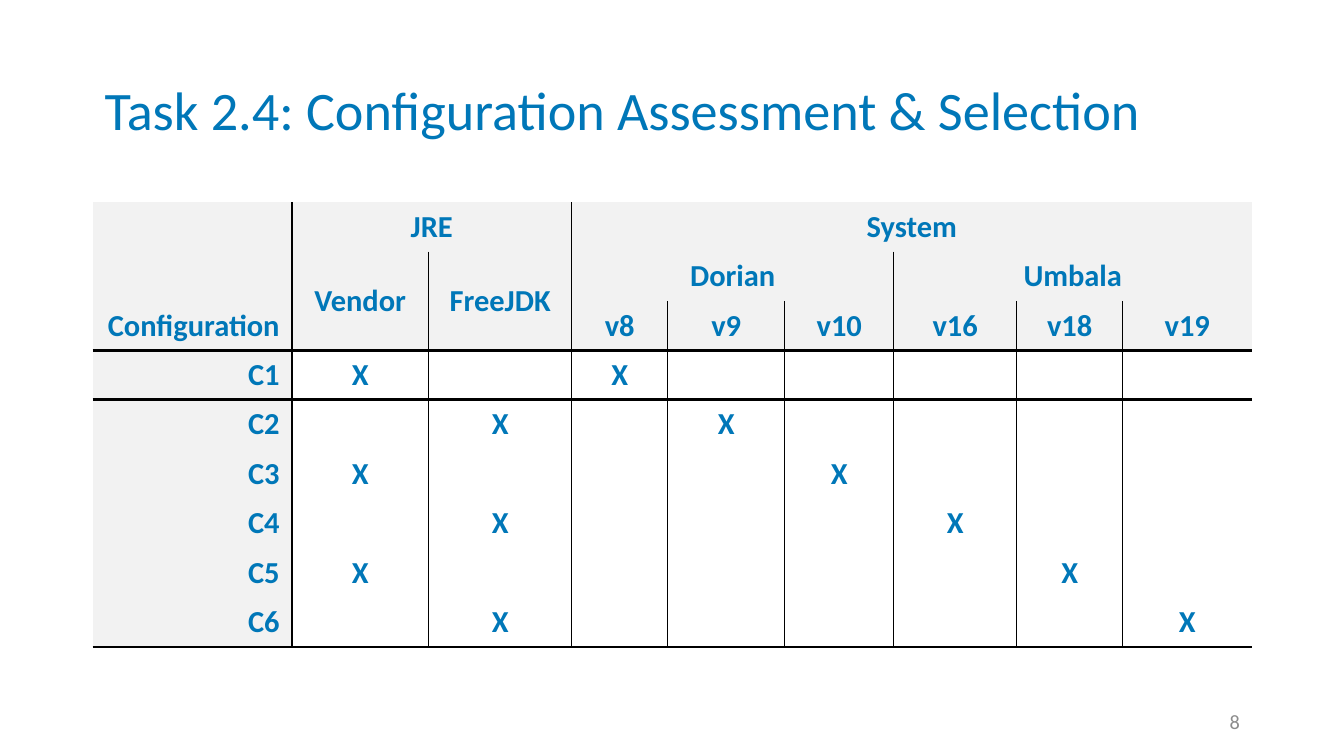
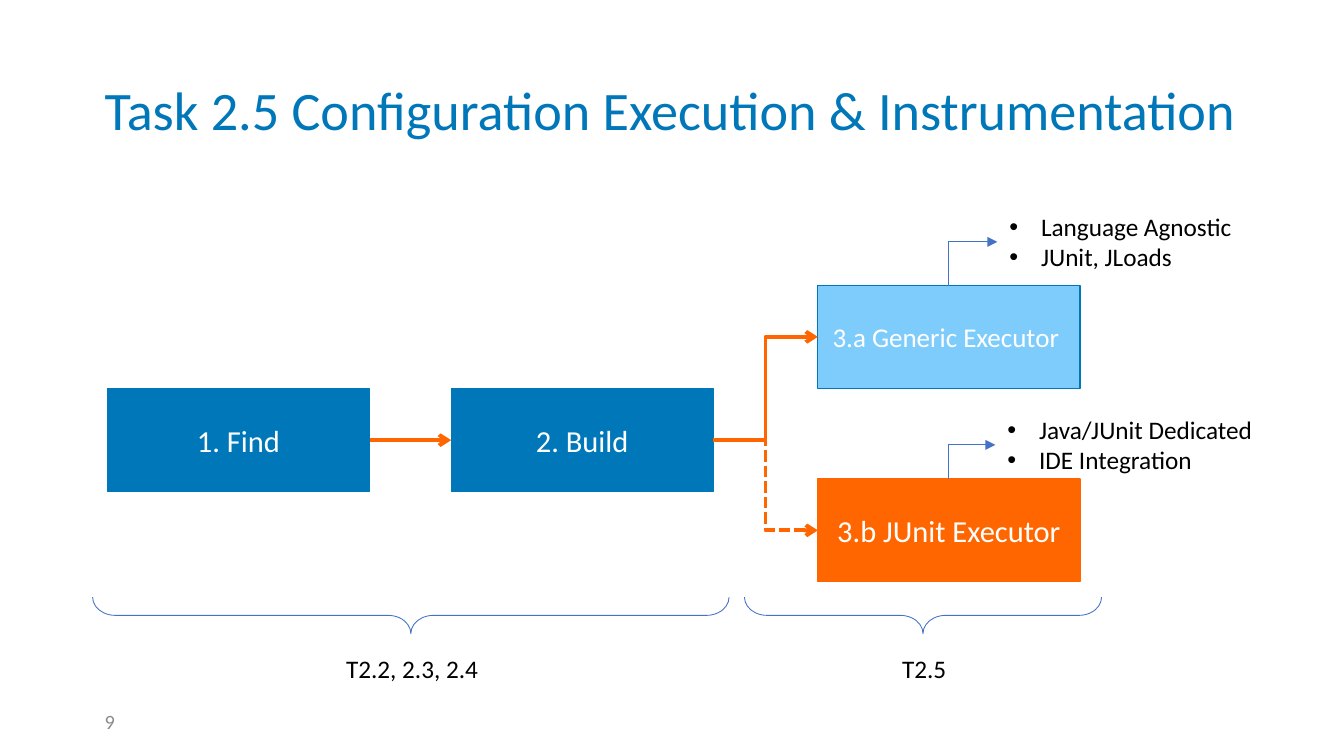
from dataclasses import dataclass

from lxml import etree
from pptx import Presentation
from pptx.dml.color import RGBColor
from pptx.enum.dml import MSO_LINE
from pptx.enum.shapes import MSO_CONNECTOR, MSO_SHAPE
from pptx.enum.text import MSO_ANCHOR, MSO_AUTO_SIZE, PP_ALIGN
from pptx.oxml.ns import qn
from pptx.util import Cm, Pt

LEFT, MID, RIGHT = PP_ALIGN.LEFT, PP_ALIGN.CENTER, PP_ALIGN.RIGHT
TOP, CENTRE = MSO_ANCHOR.TOP, MSO_ANCHOR.MIDDLE
RECT, BRACE = MSO_SHAPE.RECTANGLE, MSO_SHAPE.LEFT_BRACE
STRAIGHT, ELBOW = MSO_CONNECTOR.STRAIGHT, MSO_CONNECTOR.ELBOW
DASH = MSO_LINE.SQUARE_DOT
GROW = MSO_AUTO_SIZE.SHAPE_TO_FIT_TEXT

# Connection sites of a rectangle
SITE_TOP, SITE_LEFT, SITE_RIGHT = 0, 1, 3


@dataclass(frozen=True)
class Theme:
    font: str = "Calibri"
    blue: str = "0077B8"
    sky: str = "7ECCFC"
    orange: str = "FF6600"
    thin: str = "4472C4"
    black: str = "000000"
    white: str = "FFFFFF"
    pale: str = "F2F2F2"
    grey: str = "8C8C8C"
    title: float = 32
    body: float = 18
    small: float = 16
    note: float = 14.9
    page: float = 12
    left: float = 1.93
    width: float = 24.16


def rgb(code):
    return RGBColor.from_string(code)


class Deck:
    def __init__(self, theme):
        self.theme = theme
        self.prs = Presentation()
        self.prs.slide_width, self.prs.slide_height = Cm(28), Cm(15.75)
        self.slide = None

    def start(self, title, page, x, align):
        """Add a slide with its title and page number."""
        t = self.theme
        self.slide = self.prs.slides.add_slide(self.prs.slide_layouts[6])
        head = self.text([title], t.left, 0.82, t.width, 3.05, t.title,
                         t.blue, anchor=CENTRE)
        head.text_frame.paragraphs[0].line_spacing = 0.9
        self.text([page], x, 14.6, 6.3, 0.84, t.page, t.grey, align, CENTRE)

    def style(self, para, size, color, align, bold=False):
        para.alignment = align
        for run in para.runs:
            font = run.font
            font.name, font.size, font.bold = self.theme.font, Pt(size), bold
            font.color.rgb = rgb(color)

    def text(self, lines, x, y, w, h, size, color, align=LEFT, anchor=TOP):
        box = self.slide.shapes.add_textbox(Cm(x), Cm(y), Cm(w), Cm(h))
        frame = box.text_frame
        frame.word_wrap, frame.vertical_anchor = True, anchor
        frame.text = "\n".join(lines)
        for para in frame.paragraphs:
            self.style(para, size, color, align)
        return box

    def label(self, lines, x, y, w, h):
        """Add black text that does not wrap."""
        t = self.theme
        box = self.text(lines, x, y, w, h, t.note, t.black)
        box.text_frame.word_wrap = False
        box.text_frame.auto_size = GROW
        return box

    def bullets(self, lines, x, y, w):
        box = self.label(lines, x, y, w, 1.52)
        for para in box.text_frame.paragraphs:
            props = para._p.get_or_add_pPr()
            props.set("marL", str(Cm(0.66)))
            props.set("indent", str(-Cm(0.66)))
            etree.SubElement(props, qn("a:buFont"), typeface="Arial")
            etree.SubElement(props, qn("a:buChar"), char="•")
        return box

    def box(self, text, x, y, fill, edge, size):
        shape = self.slide.shapes.add_shape(RECT, Cm(x), Cm(y), Cm(5.46),
                                            Cm(2.14))
        shape.shadow.inherit = False
        shape.fill.solid()
        shape.fill.fore_color.rgb = rgb(fill)
        shape.line.color.rgb = rgb(edge)
        shape.line.width = 0
        frame = shape.text_frame
        frame.margin_left = frame.margin_right = Cm(0.16)
        frame.margin_top = frame.margin_bottom = Cm(0.13)
        frame.word_wrap, frame.vertical_anchor = False, CENTRE
        frame.text = text
        self.style(frame.paragraphs[0], size, self.theme.white, MID)
        return shape

    def brace(self, text, x, w, wide):
        """Add a brace that opens upward, with a label below its tip."""
        y, h = 12.44, 0.76
        mid = x + w / 2
        shape = self.slide.shapes.add_shape(
            BRACE, Cm(mid - h / 2), Cm(y + h / 2 - w / 2), Cm(h), Cm(w))
        shape.rotation = 270
        shape.adjustments[0] = 0.62
        shape.shadow.inherit = False
        shape.fill.background()
        shape.line.color.rgb = rgb(self.theme.thin)
        shape.line.width = Pt(0.5)
        self.label([text], mid - wide / 2 + 0.04, 13.49, wide, 0.89)

    def arrow(self, kind, start, exit, end, color, width, tip, dash=None):
        link = self.slide.shapes.add_connector(kind, 0, 0, 0, 0)
        link.begin_connect(start, exit)
        link.end_connect(end, SITE_LEFT)
        link.line.color.rgb = rgb(color)
        link.line.width = Pt(width)
        if dash:
            link.line.dash_style = dash
        etree.SubElement(link.get_or_add_ln(), qn("a:tailEnd"), type=tip)
        etree.SubElement(link._element.spPr, qn("a:effectLst"))
        return link

    def flow(self, kind, start, end, dash=None):
        self.arrow(kind, start, SITE_RIGHT, end, self.theme.orange, 2.3,
                   "arrow", dash)

    def corner(self, start, end):
        """Add an arrow that goes up and then right: a turned one-bend line."""
        link = self.arrow(ELBOW, start, SITE_TOP, end, self.theme.thin, 0.5,
                          "triangle")
        run, rise = link.width, link.height
        link.left += (run - rise) // 2
        link.top += (rise - run) // 2
        link.width, link.height = rise, run
        props = link._element.spPr
        frame = props.find(qn("a:xfrm"))
        for key, val in (("rot", "5400000"), ("flipH", "1"), ("flipV", "1")):
            frame.set(key, val)
        props.find(qn("a:prstGeom")).set("prst", "bentConnector2")

    def border(self, cell, sides):
        """Set the four sides of a cell; a width of 0 means no line."""
        props = cell._tc.get_or_add_tcPr()
        for side, width in zip("LRTB", sides):
            line = etree.SubElement(props, qn("a:ln" + side),
                                    w=str(Pt(width)))
            if width:
                fill = etree.SubElement(line, qn("a:solidFill"))
                etree.SubElement(fill, qn("a:srgbClr"), val=self.theme.black)
            else:
                etree.SubElement(line, qn("a:noFill"))

    def grid(self, y, cols, high, rows, spans, rules, heads):
        """Add a table; rules gives line widths by (row, column)."""
        t = self.theme
        frame = self.slide.shapes.add_table(
            len(rows), len(cols), Cm(t.left), Cm(y), Cm(sum(cols)),
            Cm(high * len(rows)))
        table = frame.table
        table.first_row = table.horz_banding = False
        for col, width in zip(table.columns, cols):
            col.width = Cm(width)
        for row in table.rows:
            row.height = Cm(high)
        for (r, c), (down, across) in spans.items():
            table.cell(r, c).merge(table.cell(r + down - 1, c + across - 1))

        upright, level = rules
        for r, row in enumerate(rows):
            for c in range(len(cols)):
                cell = table.cell(r, c)
                down, across = spans.get((r, c), (1, 1))
                self.border(cell, (upright(r, c), upright(r, c + across),
                                   level(r), level(r + down)))
                cell.fill.solid()
                shade = r < heads or c == 0
                cell.fill.fore_color.rgb = rgb(t.pale if shade else t.white)
                cell.vertical_anchor = CENTRE if down > 1 else TOP
                cell.text_frame.text = row.get(c, "")
                para = cell.text_frame.paragraphs[0]
                para.font.size = Pt(t.body)
                self.style(para, t.body, t.blue, MID if c else RIGHT, True)


def table_slide(deck):
    deck.start("Task 2.4: Configuration Assessment & Selection", "8",
               19.78, RIGHT)

    # Three header rows, then one row for each configuration
    rows = [
        {1: "JRE", 3: "System"},
        {1: "Vendor", 2: "FreeJDK", 3: "Dorian", 6: "Umbala"},
        {0: "Configuration", 3: "v8", 4: "v9", 5: "v10", 6: "v16",
         7: "v18", 8: "v19"},
    ]
    for i in range(6):
        rows.append({0: f"C{i + 1}", 1 + i % 2: "X", 3 + i: "X"})
    spans = {(0, 1): (1, 2), (0, 3): (1, 6), (1, 1): (2, 1),
             (1, 2): (2, 1), (1, 3): (1, 3), (1, 6): (1, 3)}

    # Row in which the line left of each column begins
    first = {1: 0, 2: 1, 3: 0, 4: 2, 5: 2, 6: 1, 7: 2, 8: 2}
    bars = {3: 2.25, 4: 2.25, 9: 1}

    def upright(r, c):
        if r < first.get(c, len(rows)):
            return 0
        return 1 if first[c] < 2 else 0.5

    def level(r):
        return bars.get(r, 0)

    cols = [4.15, 2.85, 2.98, 2, 2.44, 2.27, 2.56, 2.21, 2.69]
    deck.grid(4.21, cols, 1.03, rows, spans, (upright, level), 3)


def flow_slide(deck):
    t = deck.theme
    deck.start("Task 2.5 Configuration Execution & Instrumentation", "9",
               t.left, LEFT)

    # Steps
    find = deck.box("1. Find", 2.24, 8.1, t.blue, t.blue, t.body)
    build = deck.box("2. Build", 9.4, 8.1, t.blue, t.blue, t.body)
    broad = deck.box("3.a Generic Executor ", 17.04, 5.95, t.sky, t.blue,
                     t.small)
    junit = deck.box("3.b JUnit Executor", 17.04, 9.98, t.orange, t.orange,
                     t.body)

    # Flow
    deck.flow(STRAIGHT, find, build)
    deck.flow(ELBOW, build, broad)
    deck.flow(ELBOW, build, junit, DASH)

    # Notes on the two executors
    notes = [
        (broad, ["Language Agnostic", "JUnit, JLoads"], 20.78, 4.28, 5.18),
        (junit, ["Java/JUnit Dedicated", "IDE Integration"], 20.74, 8.51,
         5.64),
    ]
    for step, lines, x, y, w in notes:
        deck.corner(step, deck.bullets(lines, x, y, w))

    # Tasks that cover the steps
    deck.brace("T2.2, 2.3, 2.4", t.left, 13.26, 3.28)
    deck.brace("T2.5", 15.51, 7.44, 1.45)


def main():
    deck = Deck(Theme())
    table_slide(deck)
    flow_slide(deck)
    deck.prs.save("out.pptx")


if __name__ == "__main__":
    main()
